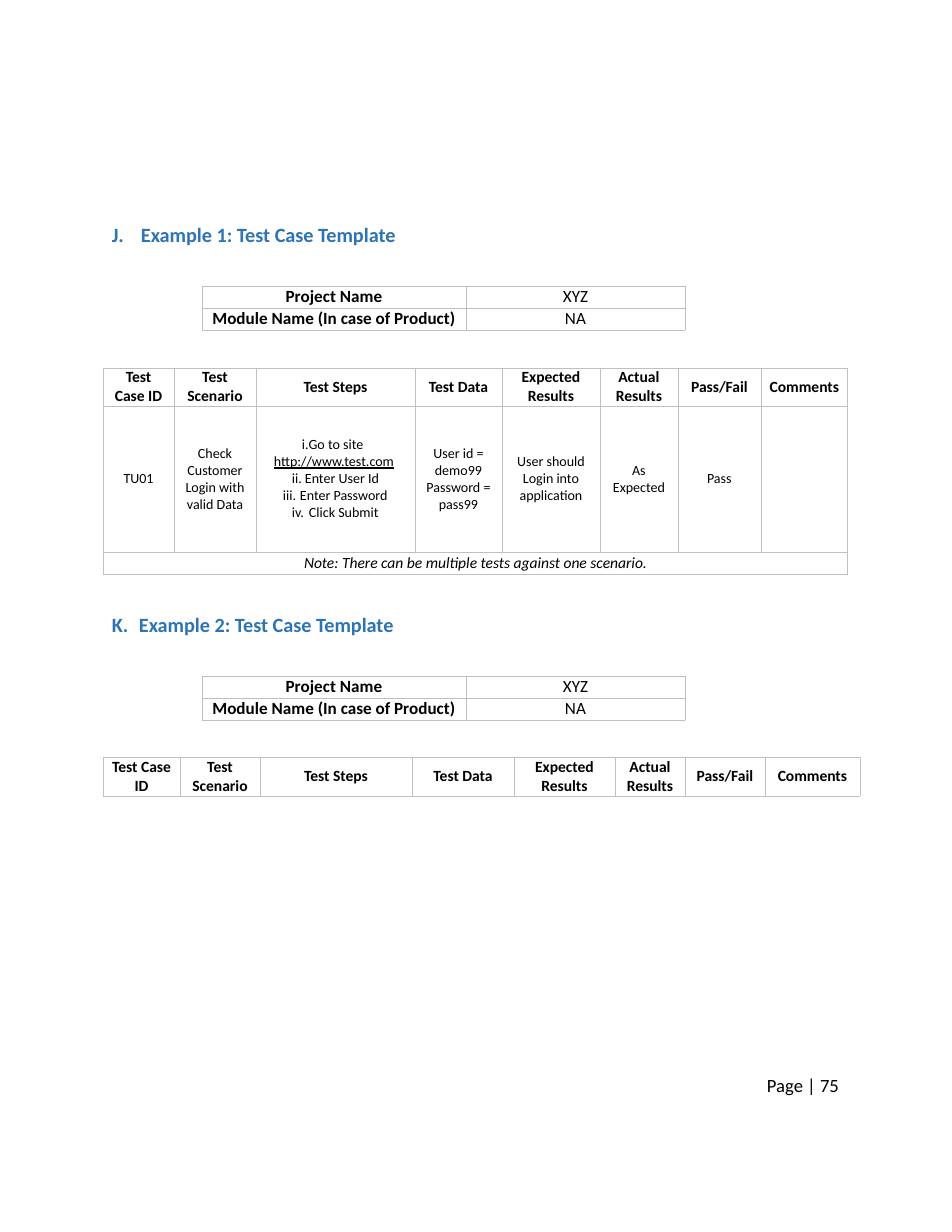
from dataclasses import dataclass

from lxml import etree
from pptx import Presentation
from pptx.dml.color import RGBColor
from pptx.enum.text import MSO_ANCHOR, PP_ALIGN
from pptx.oxml.ns import qn
from pptx.util import Emu, Pt

CENTER, LEFT = PP_ALIGN.CENTER, PP_ALIGN.LEFT
MIDDLE = MSO_ANCHOR.MIDDLE
PX = 914400 / 112
FONT = "Calibri"
COLORS = {"text": "000000", "heading": "2D74B5", "border": "BFBFBF"}


@dataclass
class Run:
    text: str
    size: float
    bold: bool = False
    italic: bool = False
    underline: bool = False
    color: str = "text"


@dataclass
class Line:
    runs: list[Run]
    align: int = CENTER
    left: int = 0
    first: int = 0
    numbered: bool = False
    exact: float = 0


@dataclass
class Grid:
    left: int
    top: int
    widths: list[int]
    heights: list[int]
    rows: list[list[list[Line]]]


def px(value: int) -> Emu:
    return Emu(round(value * PX))


def fill_frame(frame, lines: list[Line]) -> None:
    for index, line in enumerate(lines):
        paragraph = frame.add_paragraph() if index else frame.paragraphs[0]
        paragraph.alignment = line.align
        if line.exact:
            paragraph.line_spacing = Pt(line.exact)
        properties = paragraph._p.get_or_add_pPr()
        properties.set("marL", str(px(line.left)))
        properties.set("indent", str(px(line.first)))
        if line.numbered:
            etree.SubElement(properties, qn("a:buAutoNum"), type="romanLcPeriod")
        for part in line.runs:
            run = paragraph.add_run()
            run.text = part.text
            run.font.name = FONT
            run.font.size = Pt(part.size)
            run.font.bold = part.bold
            run.font.italic = part.italic
            run.font.underline = part.underline
            run.font.color.rgb = RGBColor.from_string(COLORS[part.color])


def add_text(slide, left: int, top: int, width: int, height: int, line: Line) -> None:
    frame = slide.shapes.add_textbox(px(left), px(top), px(width), px(height)).text_frame
    frame.word_wrap = True
    frame.margin_left = frame.margin_right = frame.margin_top = frame.margin_bottom = 0
    fill_frame(frame, [line])


def add_borders(cell) -> None:
    properties = cell._tc.get_or_add_tcPr()
    for index, side in enumerate(("lnL", "lnR", "lnT", "lnB")):
        border = etree.Element(qn(f"a:{side}"), w=str(Pt(0.5)))
        fill = etree.SubElement(border, qn("a:solidFill"))
        etree.SubElement(fill, qn("a:srgbClr"), val=COLORS["border"])
        properties.insert(index, border)


def add_grid(slide, grid: Grid):
    table = slide.shapes.add_table(
        len(grid.heights), len(grid.widths), px(grid.left), px(grid.top),
        px(sum(grid.widths)), px(sum(grid.heights))).table
    table.first_row = table.horz_banding = False
    for column, width in zip(table.columns, grid.widths):
        column.width = px(width)
    for row, height in zip(table.rows, grid.heights):
        row.height = px(height)
    for cell in table.iter_cells():
        cell.fill.background()
        cell.vertical_anchor = MIDDLE
        cell.margin_left = cell.margin_right = cell.margin_top = cell.margin_bottom = 0
        add_borders(cell)
    for r, row in enumerate(grid.rows):
        for c, lines in enumerate(row):
            fill_frame(table.cell(r, c).text_frame, lines)
    return table


def plain(text: str, size: float, **style) -> list[Line]:
    return [Line([Run(text, size, **style)])]


def project_line(text: str, bold: bool) -> list[Line]:
    return [Line([Run(text, 11, bold=bold)], exact=12.8)]


def step(text: str, left: int, first: int) -> Line:
    return Line([Run(text, 9)], LEFT, left, first, numbered=True)


HEADERS = ["Test|Case ID", "Test|Scenario", "Test Steps", "Test Data",
           "Expected|Results", "Actual|Results", "Pass/Fail", "Comments"]
PROJECT = [("Project Name", "XYZ"), ("Module Name (In case of Product)", "NA")]


def header_row(labels: list[str]) -> list[list[Line]]:
    return [[Line([Run(word, 10, bold=True)], exact=12) for word in label.split("|")]
            for label in labels]


def add_example(slide, top: int, title: str, hang: int) -> None:
    """Heading with a hanging letter, and the project table under it."""
    add_text(slide, 112, top, 310, 26,
             Line([Run(title, 13, bold=True, color="heading")], LEFT, hang, -hang))
    rows = [[project_line(name, True), project_line(value, False)] for name, value in PROJECT]
    add_grid(slide, Grid(202, top + 64, [264, 219], [22, 22], rows))


def main() -> None:
    deck = Presentation()
    deck.slide_width, deck.slide_height = px(952), px(1232)
    slide = deck.slides.add_slide(deck.slide_layouts[6])

    # Example 1: one test case and a note
    add_example(slide, 222, "J.\tExample 1: Test Case Template", 29)
    link_step = step("Go to site ", 18, 28)
    link_step.runs.append(Run("http://www.test.com", 9, underline=True))
    steps = [link_step, step("Enter User Id", 49, -13),
             step("Enter Password", 44, -17), step("Click Submit", 53, -17)]
    test_case = [plain("TU01", 9), plain("Check Customer Login with valid Data", 9), steps,
                 plain("User id = demo99 Password = pass99", 9),
                 plain("User should Login into application", 9),
                 plain("As Expected", 9), plain("Pass", 9)]
    note = plain("Note: There can be multiple tests against one scenario.", 10, italic=True)
    cases = add_grid(slide, Grid(103, 368, [71, 82, 159, 87, 98, 78, 83, 87], [38, 146, 22],
                                 [header_row(HEADERS), test_case, [note]]))
    cases.cell(2, 0).merge(cases.cell(2, len(HEADERS) - 1))
    for column, margin in ((1, 6), (3, 6), (4, 6), (5, 8)):
        cell = cases.cell(1, column)
        cell.margin_left = cell.margin_right = px(margin)

    # Example 2: header row only
    add_example(slide, 612, "K.\tExample 2: Test Case Template", 27)
    add_grid(slide, Grid(103, 757, [77, 80, 152, 102, 101, 70, 80, 95], [39],
                         [header_row(["Test Case|ID", *HEADERS[1:]])]))

    # Page number
    add_text(slide, 766, 1074, 80, 22, Line([Run("Page ", 12), Run("| 75", 12)], LEFT, 1))

    deck.save("out.pptx")


if __name__ == "__main__":
    main()
